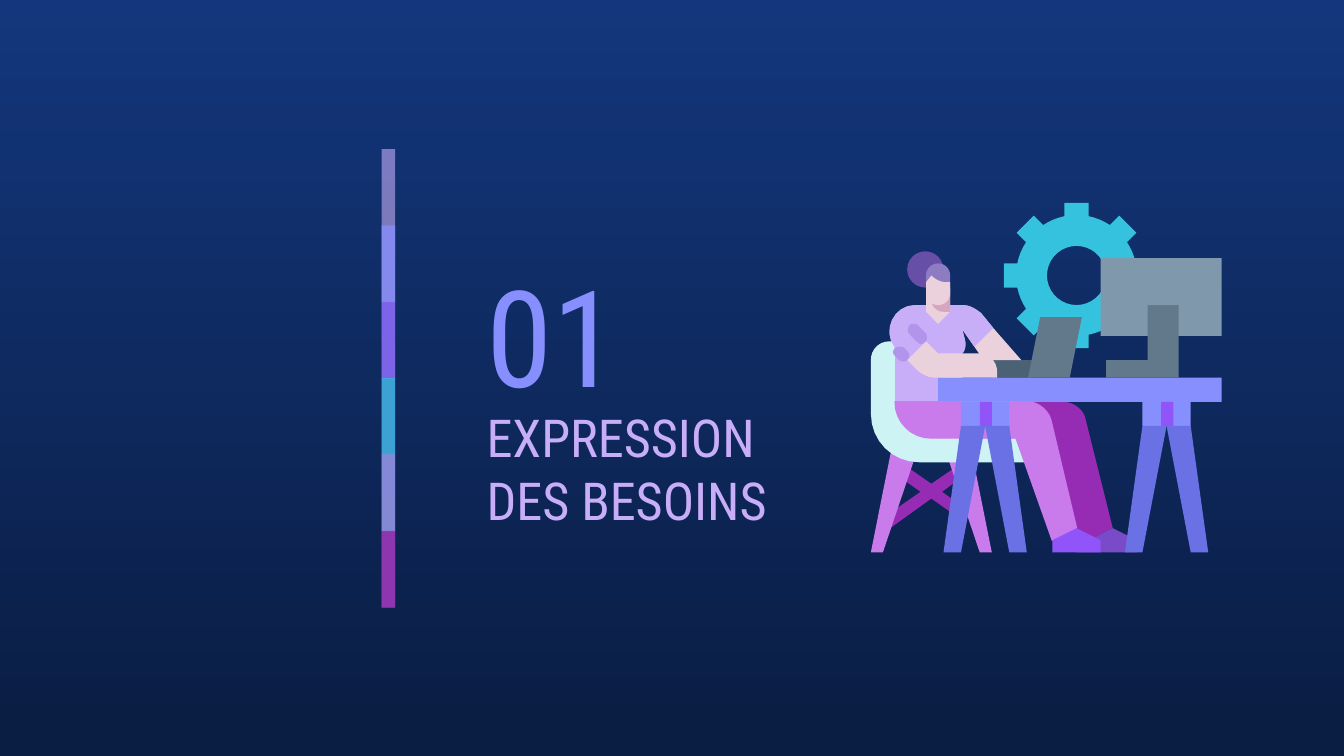
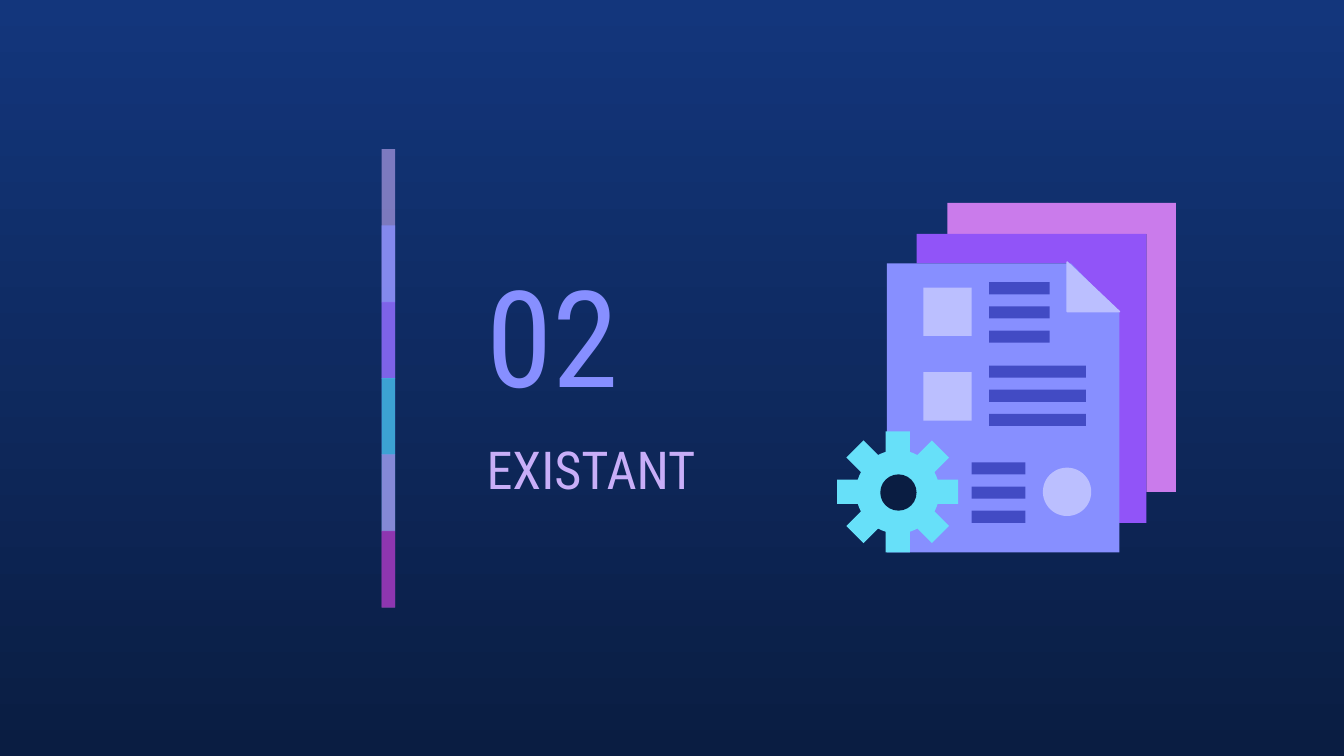
import math
from dataclasses import dataclass

import lxml.etree
import pptx
import pptx.dml.color
import pptx.enum.shapes
import pptx.enum.text
import pptx.oxml.ns
import pptx.util

Inches = pptx.util.Inches
BOX = pptx.enum.shapes.MSO_SHAPE.RECTANGLE
DISC = pptx.enum.shapes.MSO_SHAPE.OVAL
OUTLINE = None


@dataclass(frozen=True)
class Theme:
    font: str = "Roboto Condensed"
    number_size: int = 72
    title_size: int = 28
    edge_width: float = 0.75
    sky: str = "13367C"
    night: str = "0A1D42"
    periwinkle: str = "878FFF"
    lavender: str = "C8AEF8"
    lilac: str = "B394EB"
    violet: str = "9154F8"
    orchid: str = "CA7BEB"
    magenta: str = "972CB4"
    plum: str = "794BC8"
    hair: str = "674EA7"
    fringe: str = "8E7CC3"
    skin: str = "EAD1DC"
    skin_shade: str = "D5A6BD"
    teal: str = "35C2DF"
    cyan: str = "67E0F9"
    mint: str = "CEF3F5"
    indigo: str = "6971E5"
    ink: str = "424BC4"
    pale: str = "BBBFFF"
    steel: str = "8098AB"
    slate: str = "62798C"
    dark_slate: str = "4B6275"


theme = Theme()


def draw(slide, colour, form, geometry, edge=False):
    """Draw a preset from (left, top, width, height), or an OUTLINE from contours.

    A contour is a list of (x, y) corners; six numbers make a Bézier step.
    """
    if form is not OUTLINE:
        shape = slide.shapes.add_shape(form, *map(Inches, geometry))
    else:
        builder = None
        for contour in geometry:
            corners = []
            for step in contour:
                if len(step) == 2:
                    corners.append(step)
                    continue
                x0, y0 = corners[-1]
                x1, y1, x2, y2, x3, y3 = step
                for t in (i / 8 for i in range(1, 9)):
                    a, b, c, d = (1 - t) ** 3, 3 * t * (1 - t) ** 2, 3 * t * t * (1 - t), t ** 3
                    corners.append((a * x0 + b * x1 + c * x2 + d * x3,
                                    a * y0 + b * y1 + c * y2 + d * y3))
            points = [(Inches(x), Inches(y)) for x, y in corners]
            if builder is None:
                builder = slide.shapes.build_freeform(*points[0])
            else:
                builder.move_to(*points[0])
            builder.add_line_segments(points[1:], close=True)
        shape = builder.convert_to_shape()
    shape.shadow.inherit = False
    shape.fill.solid()
    shape.fill.fore_color.rgb = pptx.dml.color.RGBColor.from_string(colour)
    if edge:
        shape.line.color.rgb = shape.fill.fore_color.rgb
        shape.line.width = pptx.util.Pt(theme.edge_width)
    else:
        shape.line.fill.background()
    return shape


def gear_contour(centre_x, centre_y, root, tip, half_tooth=0.09, teeth=8):
    contour = []
    base = math.asin(half_tooth / root)
    pitch = 2 * math.pi / teeth
    for tooth in range(teeth):
        turn = tooth * pitch
        corners = [(root * math.cos(base), -half_tooth), (tip, -half_tooth),
                   (tip, half_tooth), (root * math.cos(base), half_tooth)]
        for part in (0.25, 0.5, 0.75):
            angle = base + part * (pitch - 2 * base)
            corners.append((root * math.cos(angle), root * math.sin(angle)))
        contour += [(centre_x + x * math.cos(turn) - y * math.sin(turn),
                     centre_y + x * math.sin(turn) + y * math.cos(turn)) for x, y in corners]
    return contour


prs = pptx.Presentation()
prs.slide_width = Inches(10)
prs.slide_height = prs.slide_width * 9 // 16
layout = prs.slide_layouts[5]
for footer in [p for p in layout.placeholders if p.placeholder_format.idx >= 10]:
    footer.element.getparent().remove(footer.element)

backdrop = layout.background.fill
backdrop.gradient()
backdrop.gradient_angle = 270
for stop, position, colour in zip(backdrop.gradient_stops, (0, 1), (theme.sky, theme.night)):
    stop.position = position
    stop.color.rgb = pptx.dml.color.RGBColor.from_string(colour)

# Section openings: number, name and width of the name
sections = [("01", "EXPRESSION DES BESOINS", 2.58), ("02", "EXISTANT", 2.87)]
for number, name, name_width in sections:
    slide = prs.slides.add_slide(layout)
    number_box = slide.shapes.add_textbox(0, 0, 0, 0)
    for holder, text, place, size, colour in [
        (number_box, number, (3.52, 1.81, 1.75, 1.35), theme.number_size, theme.periwinkle),
        (slide.shapes.title, name, (3.52, 3.15, name_width, 0.67), theme.title_size, theme.lavender),
    ]:
        holder.left, holder.top, holder.width, holder.height = map(Inches, place)
        frame = holder.text_frame
        frame.text = text
        frame.word_wrap = True
        frame.auto_size = pptx.enum.text.MSO_AUTO_SIZE.NONE
        frame.vertical_anchor = pptx.enum.text.MSO_ANCHOR.MIDDLE
        frame.margin_left = frame.margin_right = Inches(0.1)
        frame.margin_top = frame.margin_bottom = Inches(0.1)
        frame.paragraphs[0].alignment = pptx.enum.text.PP_ALIGN.LEFT
        font = frame.paragraphs[0].runs[0].font
        font.name, font.size = theme.font, pptx.util.Pt(size)
        font.color.rgb = pptx.dml.color.RGBColor.from_string(colour)

needs_slide, existing_slide = prs.slides

# Shared colour band: translucent bars, each overlapping the next, kept on the layout
band = [(theme.lavender, 59), (theme.periwinkle, 74), (theme.violet, 53),
        (theme.teal, 76), (theme.orchid, 56), (theme.magenta, 74)]
band_top, last_bar_top = 1.11, 3.95
bar_step = (last_bar_top - band_top) / (len(band) - 1)
for row, (colour, opacity) in enumerate(band):
    height = 0.57 if row == len(band) - 1 else 1.14
    bar = draw(needs_slide, colour, BOX, (2.84, band_top + bar_step * row, 0.1, height))
    tint = bar.element.spPr.find(".//" + pptx.oxml.ns.qn("a:srgbClr"))
    lxml.etree.SubElement(tint, pptx.oxml.ns.qn("a:alpha"), val=str(opacity * 1000))
    layout.shapes.element.append(bar.element)

# Slide 1: person working at a desk
gear_hole = [(8.01 + 0.22 * math.cos(math.radians(a)), 2.05 - 0.22 * math.sin(math.radians(a)))
             for a in range(0, 360, 10)]
draw(needs_slide, theme.teal, OUTLINE, [gear_contour(8.01, 2.05, 0.45, 0.54), gear_hole])
draw(needs_slide, theme.dark_slate, BOX, (7.38, 2.68, 0.31, 0.13))
chair_brace = [(6.73, 3.46), (6.68, 3.54), (6.85, 3.66), (6.56, 3.86), (6.61, 3.94), (6.93, 3.71),
               (7.1, 3.83), (7.15, 3.76), (7.01, 3.66), (7.17, 3.54), (7.12, 3.47), (6.93, 3.6)]
draw(needs_slide, theme.magenta, OUTLINE, [chair_brace])
for side in (1, -1):
    chair_leg = [(0.09, 3.31), (0.36, 4.11), (0.45, 4.11), (0.29, 3.31)]
    draw(needs_slide, theme.orchid, OUTLINE, [[(6.93 + side * x, y) for x, y in chair_leg]])

chair_seat = [(6.62, 2.54), (6.54, 2.54, 6.48, 2.6, 6.48, 2.68), (6.48, 3.08),
              (6.48, 3.28, 6.64, 3.44, 6.84, 3.44), (7.69, 3.44), (7.69, 3.22), (6.93, 3.22),
              (6.81, 3.22, 6.71, 3.12, 6.71, 2.99), (6.71, 2.54)]
far_leg = [(6.93, 2.99), (6.93, 3.14, 7.05, 3.26, 7.2, 3.26), (7.83, 3.26), (8.01, 4.02), (8.1, 4.02),
           (8.28, 3.93), (8.08, 3.13), (8.07, 3.05, 7.99, 2.99, 7.91, 2.99)]
near_leg = [(6.66, 2.99), (6.66, 3.14, 6.78, 3.26, 6.93, 3.26), (7.56, 3.26), (7.83, 4.02),
            (8.01, 3.93), (7.82, 3.13), (7.8, 3.05, 7.72, 2.99, 7.64, 2.99)]
far_shoe = [(8.28, 3.93), (8.1, 4.02), (8.01, 4.02), (8.01, 4.11), (8.46, 4.11), (8.46, 4.02)]
near_shoe = [(8.01, 3.93), (7.83, 4.02), (7.83, 4.11), (8.19, 4.11), (8.19, 4.02)]
shirt_left = [(6.81, 2.27), (6.65, 2.27, 6.56, 2.46, 6.66, 2.59), (6.66, 2.99), (7.16, 2.99),
              (7.16, 2.63), (7.18, 2.61, 7.19, 2.57, 7.18, 2.53), (7.16, 2.45), (7.25, 2.58)]
shirt_right = [(7.39, 2.44), (7.3, 2.33), (7.26, 2.3, 7.22, 2.27, 7.16, 2.27)]
far_forearm = [(7.32, 2.68), (7.6, 2.68)]
lower_fold = [(6.69, 2.58), (6.68, 2.58, 6.67, 2.58, 6.66, 2.59), (6.64, 2.61, 6.64, 2.63, 6.66, 2.65),
              (6.69, 2.68), (6.7, 2.69, 6.71, 2.69, 6.72, 2.69), (6.73, 2.69, 6.74, 2.69, 6.75, 2.68),
              (6.77, 2.66, 6.77, 2.63, 6.75, 2.61), (6.73, 2.59), (6.72, 2.58, 6.7, 2.58, 6.69, 2.58)]
upper_fold = [(6.8, 2.41), (6.79, 2.41, 6.77, 2.41, 6.77, 2.42), (6.75, 2.44, 6.75, 2.47, 6.77, 2.49),
              (6.82, 2.54), (6.83, 2.55, 6.84, 2.56, 6.85, 2.56), (6.87, 2.56, 6.88, 2.55, 6.89, 2.54),
              (6.9, 2.53, 6.9, 2.5, 6.89, 2.48), (6.83, 2.42), (6.82, 2.41, 6.81, 2.41, 6.8, 2.41)]
neck = [(6.89, 2.14), (6.89, 2.32), (6.98, 2.41), (7.07, 2.32), (7.07, 2.14)]
near_forearm = [(6.89, 2.54), (6.75, 2.68), (6.83, 2.76), (6.87, 2.79, 6.91, 2.81, 6.96, 2.81),
                (7.42, 2.81), (7.42, 2.77), (7.42, 2.69, 7.36, 2.63, 7.29, 2.63), (6.98, 2.63)]
laptop_lid = [(7.74, 2.36), (7.65, 2.81), (7.96, 2.81), (8.05, 2.36)]
monitor_stand = [(8.54, 2.27), (8.54, 2.68), (8.23, 2.68), (8.23, 2.81), (8.77, 2.81), (8.77, 2.27)]

for colour, form, geometry in [
    (theme.mint, OUTLINE, [chair_seat]),
    (theme.magenta, OUTLINE, [far_leg]),
    (theme.plum, OUTLINE, [far_shoe]),
    (theme.skin, OUTLINE, [shirt_left + far_forearm + shirt_right]),
    (theme.lavender, OUTLINE, [shirt_left + shirt_right]),
    (theme.periwinkle, BOX, (6.98, 2.81, 2.11, 0.18)),
    (theme.lilac, OUTLINE, [lower_fold]),
    (theme.lilac, OUTLINE, [upper_fold]),
    (theme.skin, OUTLINE, [neck]),
    (theme.skin, OUTLINE, [near_forearm]),
    (theme.slate, OUTLINE, [laptop_lid]),
    (theme.orchid, OUTLINE, [near_leg]),
    (theme.violet, OUTLINE, [near_shoe]),
    (theme.steel, BOX, (8.19, 1.92, 0.9, 0.58)),
    (theme.slate, OUTLINE, [monitor_stand]),
]:
    draw(needs_slide, colour, form, geometry, edge=geometry == [near_leg])

for trestle_x in (8.68, 7.33):
    draw(needs_slide, theme.periwinkle, BOX, (trestle_x - 0.18, 2.99, 0.36, 0.18))
    draw(needs_slide, theme.violet, BOX, (trestle_x - 0.04, 2.99, 0.09, 0.18))
    for side in (-1, 1):
        trestle_leg = [(0.18, 3.17), (0.31, 4.11), (0.18, 4.11), (0, 3.17)]
        draw(needs_slide, theme.indigo, OUTLINE,
             [[(trestle_x + side * x, y) for x, y in trestle_leg]])

neck_shade = [(6.93, 2.14), (6.93, 2.23), (6.93, 2.28, 6.97, 2.32, 7.02, 2.32), (7.07, 2.32), (7.07, 2.14)]
fringe = [(6.98, 1.96), (6.93, 1.96, 6.89, 2, 6.89, 2.05), (6.89, 2.14), (7.07, 2.14), (7.07, 2.05),
          (7.07, 2, 7.03, 1.96, 6.98, 1.96)]
face = [(6.93, 2.05), (6.89, 2.1), (6.89, 2.18), (6.89, 2.23, 6.93, 2.27, 6.98, 2.27),
        (7.03, 2.27, 7.07, 2.23, 7.07, 2.18), (7.07, 2.1), (7.04, 2.1), (7, 2.1, 6.96, 2.08, 6.93, 2.05)]
draw(needs_slide, theme.skin_shade, OUTLINE, [neck_shade])
draw(needs_slide, theme.hair, DISC, (6.75, 1.87, 0.27, 0.27))
draw(needs_slide, theme.fringe, OUTLINE, [fringe])
draw(needs_slide, theme.skin, OUTLINE, [face])

# Slide 2: stacked documents with a gear
back_sheet = [(7.05, 1.51), (7.05, 1.74), (8.53, 1.74), (8.53, 3.66), (8.75, 3.66), (8.75, 1.51)]
middle_sheet = [(6.82, 1.74), (6.82, 1.96), (7.94, 1.96), (8.3, 2.32), (8.3, 3.89), (8.53, 3.89),
                (8.53, 1.74)]
front_sheet = [(6.6, 1.96), (6.6, 4.11), (8.33, 4.11), (8.33, 2.33), (7.97, 1.96)]
for colour, form, geometry in [
    (theme.orchid, OUTLINE, [back_sheet]),
    (theme.violet, OUTLINE, [middle_sheet]),
    (theme.periwinkle, OUTLINE, [front_sheet]),
    (theme.cyan, OUTLINE, [gear_contour(6.68, 3.66, 0.31, 0.45)]),
    (theme.night, DISC, (6.55, 3.53, 0.27, 0.27)),
    (theme.pale, BOX, (6.87, 2.14, 0.36, 0.36)),
    (theme.pale, BOX, (6.87, 2.77, 0.36, 0.36)),
    (theme.pale, DISC, (7.76, 3.48, 0.36, 0.36)),
]:
    draw(existing_slide, colour, form, geometry)

for left, top, width in [(7.36, 2.1, 0.45), (7.36, 2.72, 0.72), (7.23, 3.44, 0.4)]:
    for row in range(3):
        draw(existing_slide, theme.ink, BOX, (left, top + 0.18 * row, width, 0.09))

folded_corner = [(7.94, 1.95), (7.94, 2.32), (8.33, 2.32)]
draw(existing_slide, theme.pale, OUTLINE, [folded_corner], edge=True)

prs.save("out.pptx")
